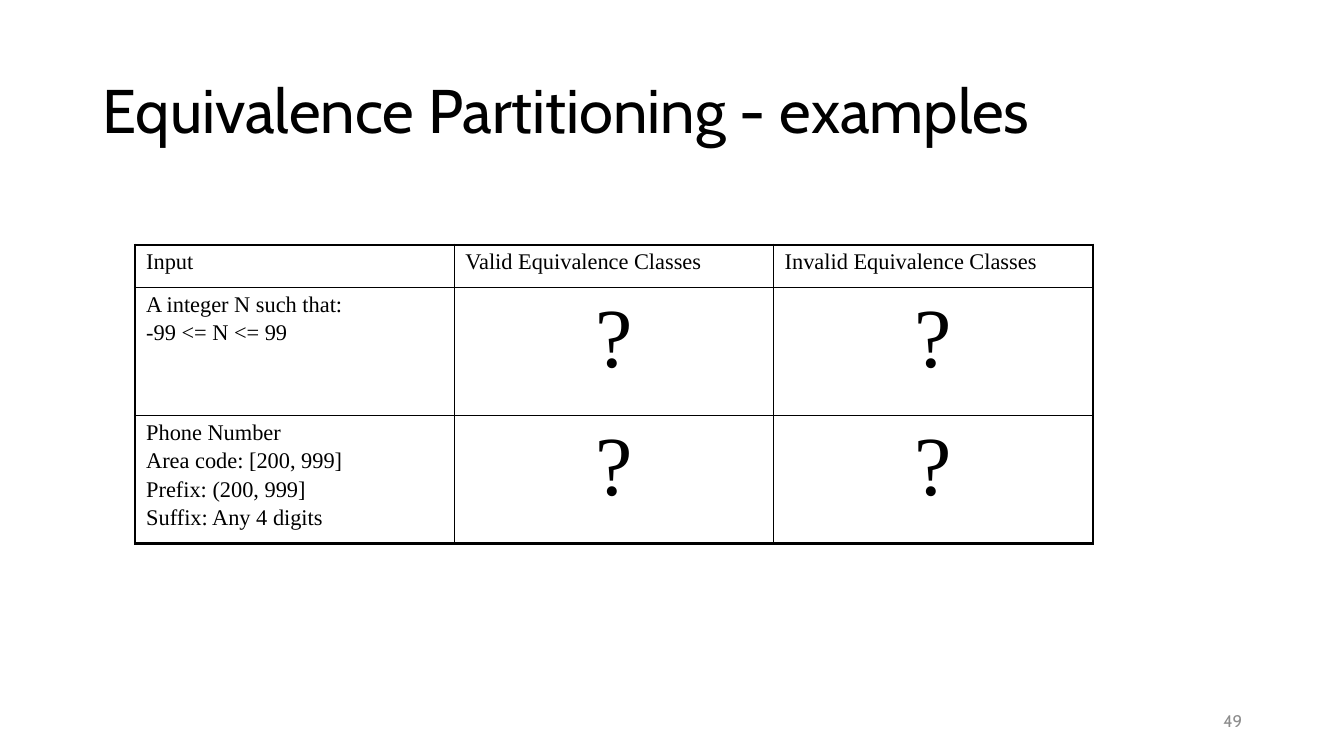
from lxml import etree
from pptx import Presentation
from pptx.dml.color import RGBColor
from pptx.enum.text import MSO_ANCHOR as Anchor, PP_ALIGN as Align
from pptx.oxml.ns import qn
from pptx.util import Inches, Pt

BLACK, GRAY = "000000", "8C8C8C"
HEADING_FONT, TABLE_FONT = "Cabin", "Times New Roman"
THICK, THIN = 2.25, 1
ROW_HEIGHTS = (0.42, 1.27, 1.27)
CLASSES = (
    ("Input", "Valid Equivalence Classes", "Invalid Equivalence Classes"),
    ("A integer N such that:\n-99 <= N <= 99", "?", "?"),
    ("Phone Number\nArea code: [200, 999]\nPrefix: (200, 999]\nSuffix: Any 4 digits", "?", "?"),
)


def color(hex_code):
    """Turn a hex string into a colour."""
    return RGBColor.from_string(hex_code)


def style(paragraph, font_name, size, hex_code, align=Align.LEFT):
    """Format a paragraph and its runs."""
    paragraph.alignment = align
    for run in paragraph.runs:
        run.font.name, run.font.size = font_name, Pt(size)
        run.font.color.rgb = color(hex_code)


def add_label(slide, box, text, size, hex_code, align=Align.LEFT, spacing=1.0):
    """Add one vertically centred line of text in the box."""
    frame = slide.shapes.add_textbox(*map(Inches, box)).text_frame
    frame.word_wrap, frame.vertical_anchor = True, Anchor.MIDDLE
    frame.text = text
    frame.paragraphs[0].line_spacing = spacing
    style(frame.paragraphs[0], HEADING_FONT, size, hex_code, align)


def set_borders(cell, widths):
    """Draw the left, right, top and bottom borders of a cell."""
    properties = cell._tc.get_or_add_tcPr()
    for position, (side, width) in enumerate(zip("LRTB", widths)):
        line = etree.Element(qn(f"a:ln{side}"), w=str(Pt(width)))
        fill = etree.SubElement(line, qn("a:solidFill"))
        etree.SubElement(fill, qn("a:srgbClr"), val=BLACK)
        properties.insert(position, line)


def fill_cell(cell, text):
    """Write the text of a cell, with question marks large and centred."""
    cell.fill.background()
    cell.margin_left = cell.margin_right = Inches(0.11)
    cell.margin_top = cell.margin_bottom = Inches(0.05)
    cell.text_frame.text = text
    size, align = (60, Align.CENTER) if text == "?" else (16, Align.LEFT)
    for index, paragraph in enumerate(cell.text_frame.paragraphs):
        style(paragraph, TABLE_FONT, size, BLACK, align)
        if index:
            paragraph.space_before = Pt(2.5)


def add_classes_table(slide, box):
    """Add the table of equivalence classes with a thick outer frame."""
    last_row, last_column = len(CLASSES) - 1, len(CLASSES[0]) - 1
    table = slide.shapes.add_table(
        last_row + 1, last_column + 1, *map(Inches, box)).table
    table.first_row = table.horz_banding = False
    for row, height in zip(table.rows, ROW_HEIGHTS):
        row.height = Inches(height)
    for r, texts in enumerate(CLASSES):
        for c, text in enumerate(texts):
            cell = table.cell(r, c)
            fill_cell(cell, text)
            outer = (c == 0, c == last_column, r == 0, r == last_row)
            set_borders(cell, [THICK if edge else THIN for edge in outer])


def main():
    """Build the slide and save it."""
    deck = Presentation()
    deck.slide_width, deck.slide_height = Inches(13.33), Inches(7.5)
    slide = deck.slides.add_slide(deck.slide_layouts[6])
    add_label(slide, (0.92, 0.4, 11.5, 1.45), "Equivalence Partitioning - examples",
              44, BLACK, spacing=0.9)
    add_classes_table(slide, (1.34, 2.43, 9.5, sum(ROW_HEIGHTS)))
    add_label(slide, (9.42, 6.95, 3, 0.4), "49", 12, GRAY, Align.RIGHT)
    deck.save("out.pptx")


if __name__ == "__main__":
    main()
